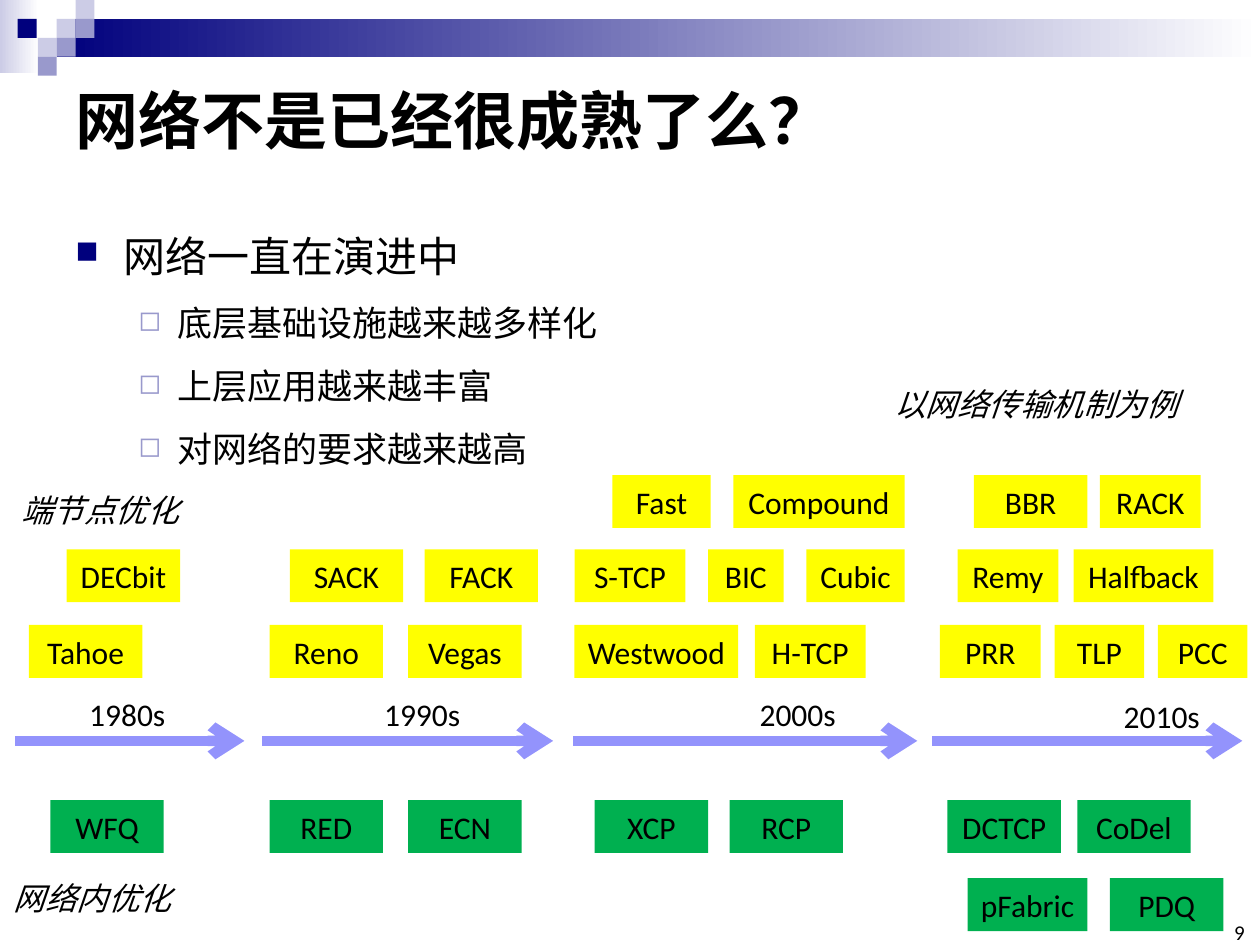
from pptx import Presentation
from pptx.dml.color import RGBColor as Rgb
from pptx.enum.shapes import MSO_CONNECTOR as Conn, MSO_SHAPE as Form
from pptx.enum.text import MSO_ANCHOR as Anchor, PP_ALIGN as Align
from pptx.oxml.ns import qn
from pptx.util import Inches, Pt
from lxml.etree import SubElement as Sub

HUES = {"navy": "00007D", "mid": "9999CC", "pale": "CCCCE6", "white": "FFFFFF",
        "black": "000000", "host": "FFFF00", "net": "00B050", "line": "9393FC"}
FONT = "Calibri"

# Rows of the timeline, on a grid of 100 columns by 75 rows
ROWS = {"top": 37.7, "mid": 43.6, "low": 49.6, "axis": 58.8,
        "in": 63.5, "out": 69.7}
HIGH = 4.2

# Decade: axis start and end, label place, then boxes as (name, column, width)
TIMES = [
    ("1980s", 1.2, 19.4, 6.1, 54.7, {
        "low": [("Tahoe", 2.3, 9)],
        "mid": [("DECbit", 5.3, 9)],
        "in": [("WFQ", 4, 9)]}),
    ("1990s", 20.8, 43.9, 29.5, 54.7, {
        "low": [("Reno", 21.4, 9), ("Vegas", 32.4, 9)],
        "mid": [("SACK", 23, 9), ("FACK", 33.7, 9)],
        "in": [("RED", 21.4, 9), ("ECN", 32.4, 9)]}),
    ("2000s", 45.5, 72.8, 59.3, 54.7, {
        "low": [("Westwood", 45.6, 13), ("H-TCP", 59.9, 8.8)],
        "mid": [("S-TCP", 45.6, 8.8), ("BIC", 56.2, 6), ("Cubic", 64, 7.8)],
        "top": [("Fast", 48.6, 7.8), ("Compound", 58.2, 13.6)],
        "in": [("XCP", 47.2, 9), ("RCP", 57.9, 9)]}),
    ("2010s", 74, 98.6, 88.2, 54.8, {
        "low": [("PRR", 74.6, 8), ("TLP", 83.7, 7.1), ("PCC", 91.9, 7.1)],
        "mid": [("Remy", 76, 8), ("Halfback", 85.2, 11.1)],
        "top": [("BBR", 77.3, 9), ("RACK", 87.3, 8)],
        "in": [("DCTCP", 75.2, 9), ("CoDel", 85.5, 9)],
        "out": [("pFabric", 76.8, 9.5), ("PDQ", 88.1, 9)]}),
]

# Left column, top row and colour of the small corner squares
TILES = [(4.5, 1.5, "pale"), (6, 0, "pale"), (6, 1.5, "mid"), (3, 3, "pale"),
         (1.4, 1.5, "navy"), (4.5, 3, "mid"), (3, 4.5, "mid")]

POINTS = ["网络一直在演进中", "底层基础设施越来越多样化",
          "上层应用越来越丰富", "对网络的要求越来越高"]

NOTES = [("端节点优化", 0.7, 38.5, 14.6), ("网络内优化", 0.1, 69.3, 14.6),
         ("以网络传输机制为例", 70, 30.1, 24.7)]


def grid(*cells):
    return [Inches(cell / 10) for cell in cells]


def hue(name):
    return Rgb.from_string(HUES[name])


def style(frame, size, bold=False, ital=False):
    for para in frame.paragraphs:
        for run in para.runs:
            font = run.font
            font.name, font.size = FONT, Pt(size)
            font.bold, font.italic = bold, ital
            font.color.rgb = hue("black")


def block(slide, place, tone, fade=None):
    form = slide.shapes.add_shape(Form.RECTANGLE, *grid(*place))
    form.shadow.inherit = False
    form.line.fill.background()
    if fade:
        form.fill.gradient()
        form.fill.gradient_angle = 0
        for stop, name in zip(form.fill.gradient_stops, (tone, fade)):
            stop.color.rgb = hue(name)
    else:
        form.fill.solid()
        form.fill.fore_color.rgb = hue(tone)
    return form


def label(slide, place, text, size, wrap=False, **look):
    frame = slide.shapes.add_textbox(*grid(*place)).text_frame
    frame.text = text
    frame.word_wrap = wrap
    style(frame, size, **look)
    return frame


def box(slide, name, col, row, wide, tone):
    frame = block(slide, (col, row, wide, HIGH), tone).text_frame
    frame.text = name
    frame.word_wrap = False
    frame.vertical_anchor = Anchor.MIDDLE
    frame.paragraphs[0].alignment = Align.CENTER
    style(frame, 18)


def arrow(slide, start, end, row):
    line = slide.shapes.add_connector(Conn.STRAIGHT, *grid(start, row, end, row))
    line.line.color.rgb = hue("line")
    line.line.width = Pt(6)
    Sub(line.line._get_or_add_ln(), qn("a:tailEnd"), type="arrow")
    Sub(line._element.spPr, qn("a:effectLst"))


def bullet(para, mark, tone, share, left, hang):
    props = para._p.get_or_add_pPr()
    props.set("marL", str(Inches(left)))
    props.set("indent", str(-Inches(hang)))
    color = Sub(props, qn("a:buClr"))
    Sub(color, qn("a:srgbClr"), val=HUES[tone])
    Sub(props, qn("a:buSzPct"), val=str(share * 1000))
    Sub(props, qn("a:buChar"), char=mark)


def banner(slide):
    block(slide, (0, 0, 3.1, 5.8), "pale", "white")
    block(slide, (4.5, 1.5, 95.5, 3), "navy", "white")
    for col, row, tone in TILES:
        block(slide, (col, row, 1.5, 1.5), tone)


def points(slide):
    frame = label(slide, (5, 15.8, 90, 21), "\n".join(POINTS), 20, wrap=True)
    for rank, para in enumerate(frame.paragraphs):
        para.line_spacing = 1.5
        if rank:
            para.level = 1
            bullet(para, "◻", "mid", 80, 0.81, 0.31)
        else:
            para.runs[0].font.size = Pt(24)
            bullet(para, "■", "navy", 75, 0.38, 0.38)


def decade(slide, name, start, end, col, row, rows):
    arrow(slide, start, end, ROWS["axis"])
    label(slide, (col, row, 8.1, 4), name, 18)
    for key, items in rows.items():
        tone = "net" if key in ("in", "out") else "host"
        for text, left, wide in items:
            box(slide, text, left, ROWS[key], wide, tone)


def main():
    deck = Presentation()
    deck.slide_width, deck.slide_height = grid(100, 75)
    slide = deck.slides.add_slide(deck.slide_layouts[6])

    # Banner, title and bullet list
    banner(slide)
    title = label(slide, (5, 5, 90, 8.9), "网络不是已经很成熟了么？", 36,
                  wrap=True, bold=True)
    title.vertical_anchor = Anchor.MIDDLE
    points(slide)

    # Slide number
    page = label(slide, (96.5, 73.3, 2.3, 1.7), "9", 12)
    page.margin_left = page.margin_right = 0
    page.margin_top = page.margin_bottom = 0
    page.vertical_anchor = Anchor.BOTTOM
    page.paragraphs[0].alignment = Align.RIGHT

    # Timeline and side notes
    for time in TIMES:
        decade(slide, *time)
    for text, col, row, wide in NOTES:
        label(slide, (col, row, wide, 4), text, 18, ital=True)
    deck.save("out.pptx")


if __name__ == "__main__":
    main()
